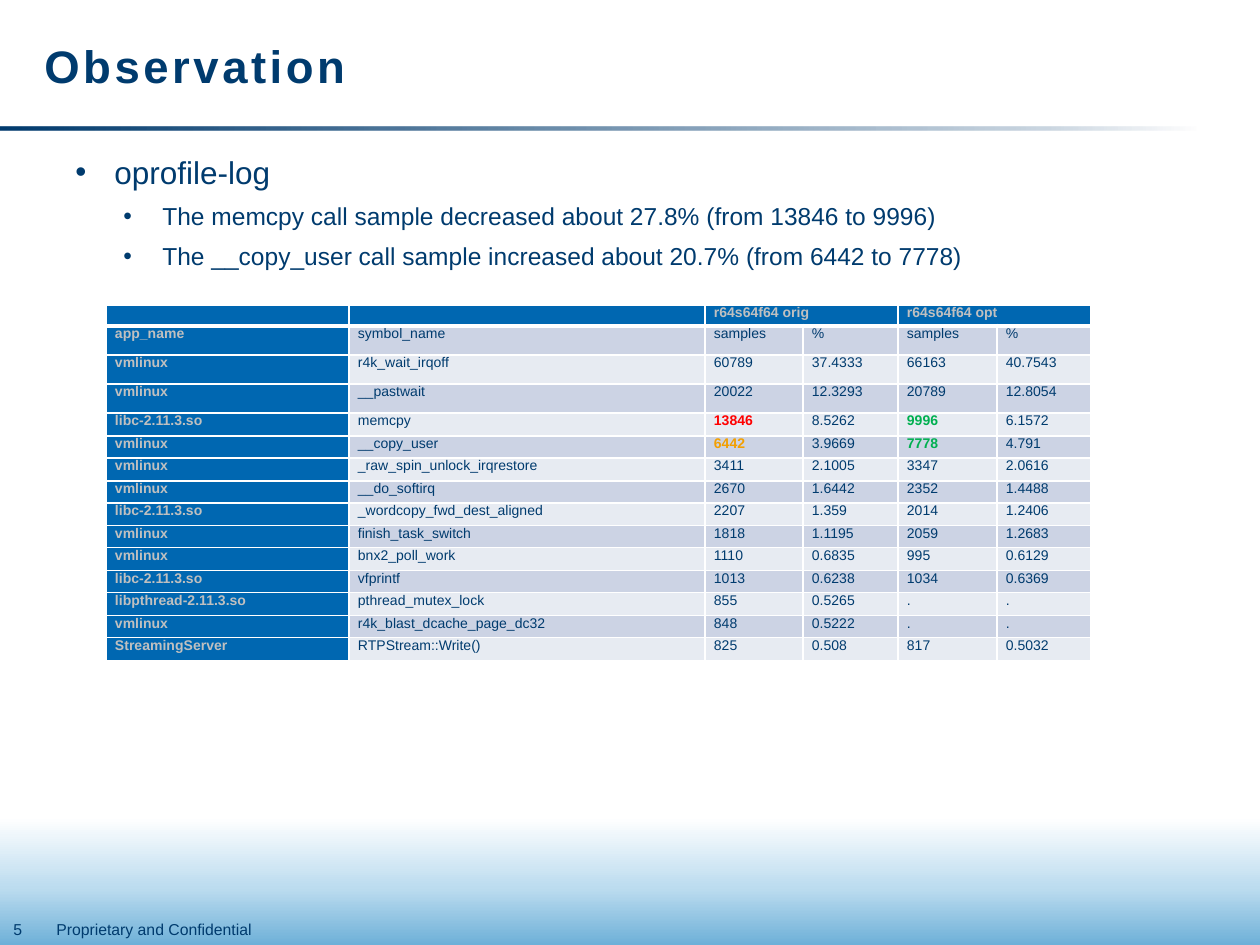
from dataclasses import dataclass

from lxml import etree
from pptx import Presentation
from pptx import util as u
from pptx.dml.color import RGBColor
from pptx.enum import shapes, text
from pptx.oxml import ns

PX = 914400 / 126
HUES = {
    "navy": "003B6E", "blue": "0067B1", "grey": "C0C0C0", "white": "FFFFFF",
    "sky": "6EB0D8", "pale": "BCDCEF", "dark": "CCD3E4", "light": "E7EBF2",
    "red": "FF0000", "green": "00B050", "gold": "F39F00",
}


@dataclass
class Box:
    x: int
    y: int
    w: int
    h: int

    def emu(self) -> tuple:
        return tuple(px(n) for n in (self.x, self.y, self.w, self.h))


@dataclass
class Stop:
    pos: int
    hue: str
    alpha: int = 100


@dataclass
class Point:
    words: str
    size: int
    left: int


def px(n: int) -> int:
    return round(n * PX)


def node(up, tag: str, **attrs):
    return etree.SubElement(up, ns.qn(tag), {k: str(v) for k, v in attrs.items()})


def write(para, words: str, *, size: int, hue: str = "navy",
          bold: bool = False, track: int = 0) -> None:
    """Add text to a paragraph; an empty one still gets its font size."""
    if not words:
        node(para._p, "a:endParaRPr", sz=size * 100)
        return
    run = para.add_run()
    run.text = words
    font = run.font
    font.name, font.size, font.bold = "Arial", u.Pt(size), bold
    font.color.rgb = RGBColor.from_string(HUES[hue])
    if track:
        run._r.get_or_add_rPr().set("spc", str(track * 100))


def frame(slide, box: Box, wrap: bool = True):
    area = slide.shapes.add_textbox(*box.emu()).text_frame
    area.word_wrap = wrap
    return area


def band(slide, box: Box, stops: list[Stop], angle: int) -> None:
    """Draw a rectangle with a linear gradient; the angle runs clockwise."""
    rect = slide.shapes.add_shape(shapes.MSO_SHAPE.RECTANGLE, *box.emu())
    rect.shadow.inherit = False
    rect.line.fill.background()
    rect.fill.gradient()
    grad = rect._element.spPr.find(ns.qn("a:gradFill"))
    for kid in list(grad):
        grad.remove(kid)
    ramp = node(grad, "a:gsLst")
    for stop in stops:
        mark = node(ramp, "a:gs", pos=stop.pos * 1000)
        tint = node(mark, "a:srgbClr", val=HUES[stop.hue])
        if stop.alpha < 100:
            node(tint, "a:alpha", val=stop.alpha * 1000)
    node(grad, "a:lin", ang=angle * 60000, scaled=0)


def bullet(para, point: Point) -> None:
    para.space_before = u.Pt(6)
    props = para._p.get_or_add_pPr()
    props.set("marL", str(px(point.left)))
    props.set("indent", str(-px(39)))
    node(props, "a:buFont", typeface="Arial")
    node(props, "a:buChar", char="•")
    write(para, point.words, size=point.size)


def paint(cell, fill: str, base: int) -> None:
    """Set margins, borders and fill of one table cell."""
    cell.margin_left = cell.margin_right = px(9)
    cell.margin_top = cell.margin_bottom = 0
    props = cell._tc.get_or_add_tcPr()
    for side, width in zip("LRTB", (1, 1, 1, base)):
        edge = node(props, f"a:ln{side}", w=u.Pt(width))
        node(node(edge, "a:solidFill"), "a:srgbClr", val=HUES["white"])
    cell.fill.solid()
    cell.fill.fore_color.rgb = RGBColor.from_string(HUES[fill])


POINTS = [
    Point("oprofile-log", 18, 39),
    Point("The memcpy call sample decreased about 27.8% (from 13846 to 9996)", 14, 87),
    Point("The __copy_user call sample increased about 20.7% (from 6442 to 7778)", 14, 87),
]
ROWS = [
    ("", "", "r64s64f64 orig", "", "r64s64f64 opt", ""),
    ("app_name", "symbol_name", "samples", "%", "samples", "%"),
    ("vmlinux", "r4k_wait_irqoff", "60789", "37.4333", "66163", "40.7543"),
    ("vmlinux", "__pastwait", "20022", "12.3293", "20789", "12.8054"),
    ("libc-2.11.3.so", "memcpy", "13846", "8.5262", "9996", "6.1572"),
    ("vmlinux", "__copy_user", "6442", "3.9669", "7778", "4.791"),
    ("vmlinux", "_raw_spin_unlock_irqrestore", "3411", "2.1005", "3347", "2.0616"),
    ("vmlinux", "__do_softirq", "2670", "1.6442", "2352", "1.4488"),
    ("libc-2.11.3.so", "_wordcopy_fwd_dest_aligned", "2207", "1.359", "2014", "1.2406"),
    ("vmlinux", "finish_task_switch", "1818", "1.1195", "2059", "1.2683"),
    ("vmlinux", "bnx2_poll_work", "1110", "0.6835", "995", "0.6129"),
    ("libc-2.11.3.so", "vfprintf", "1013", "0.6238", "1034", "0.6369"),
    ("libpthread-2.11.3.so", "pthread_mutex_lock", "855", "0.5265", ".", "."),
    ("vmlinux", "r4k_blast_dcache_page_dc32", "848", "0.5222", ".", "."),
    ("StreamingServer", "RTPStream::Write()", "825", "0.508", "817", "0.5032"),
]
MARKS = {(4, 2): "red", (4, 4): "green", (5, 2): "gold", (5, 4): "green"}
WIDTHS = [243, 356, 98, 95, 99, 94]
HEIGHTS = [21] + [29] * 3 + [23, 22] * 5 + [23]


def samples(slide) -> None:
    box = Box(106, 305, sum(WIDTHS), sum(HEIGHTS))
    table = slide.shapes.add_table(len(ROWS), len(WIDTHS), *box.emu()).table
    for col, width in zip(table.columns, WIDTHS):
        col.width = px(width)
    for row, height in zip(table.rows, HEIGHTS):
        row.height = px(height)
    for r, row in enumerate(ROWS):
        for c, words in enumerate(row):
            cell = table.cell(r, c)
            head = r == 0 or c == 0
            fill = "blue" if head else "dark" if r % 2 else "light"
            paint(cell, fill, 1 if r else 3)
            hue = MARKS.get((r, c), "grey" if head else "navy")
            write(cell.text_frame.paragraphs[0], words, size=8, hue=hue,
                  bold=head or (r, c) in MARKS)
    for c in (2, 4):
        table.cell(0, c).merge(table.cell(0, c + 1))


def main() -> None:
    deck = Presentation()
    deck.slide_width, deck.slide_height = px(1260), px(945)
    slide = deck.slides.add_slide(deck.slide_layouts[6])
    back = slide.background.fill
    back.solid()
    back.fore_color.rgb = RGBColor.from_string(HUES["white"])

    # Footer glow and title rule
    band(slide, Box(0, 725, 1260, 220),
         [Stop(0, "sky"), Stop(26, "pale"), Stop(58, "white"), Stop(100, "white")], 270)
    band(slide, Box(0, 127, 1197, 3),
         [Stop(0, "navy"), Stop(88, "navy", 20), Stop(100, "navy", 0)], 0)

    # Footer
    note = frame(slide, Box(44, 914, 227, 31), wrap=False)
    write(note.paragraphs[0], "Proprietary and Confidential", size=9)
    page = frame(slide, Box(1, 914, 62, 31))
    write(page.paragraphs[0], "5", size=9)

    # Title
    title = frame(slide, Box(32, 6, 1134, 120))
    title.vertical_anchor = text.MSO_ANCHOR.MIDDLE
    title.paragraphs[0].line_spacing = u.Pt(30)
    write(title.paragraphs[0], "Observation", size=26, bold=True, track=2)

    # Bullet list
    body = frame(slide, Box(63, 147, 1197, 766))
    for i, point in enumerate(POINTS):
        bullet(body.add_paragraph() if i else body.paragraphs[0], point)

    # Sample counts
    samples(slide)
    deck.save("out.pptx")


if __name__ == "__main__":
    main()
